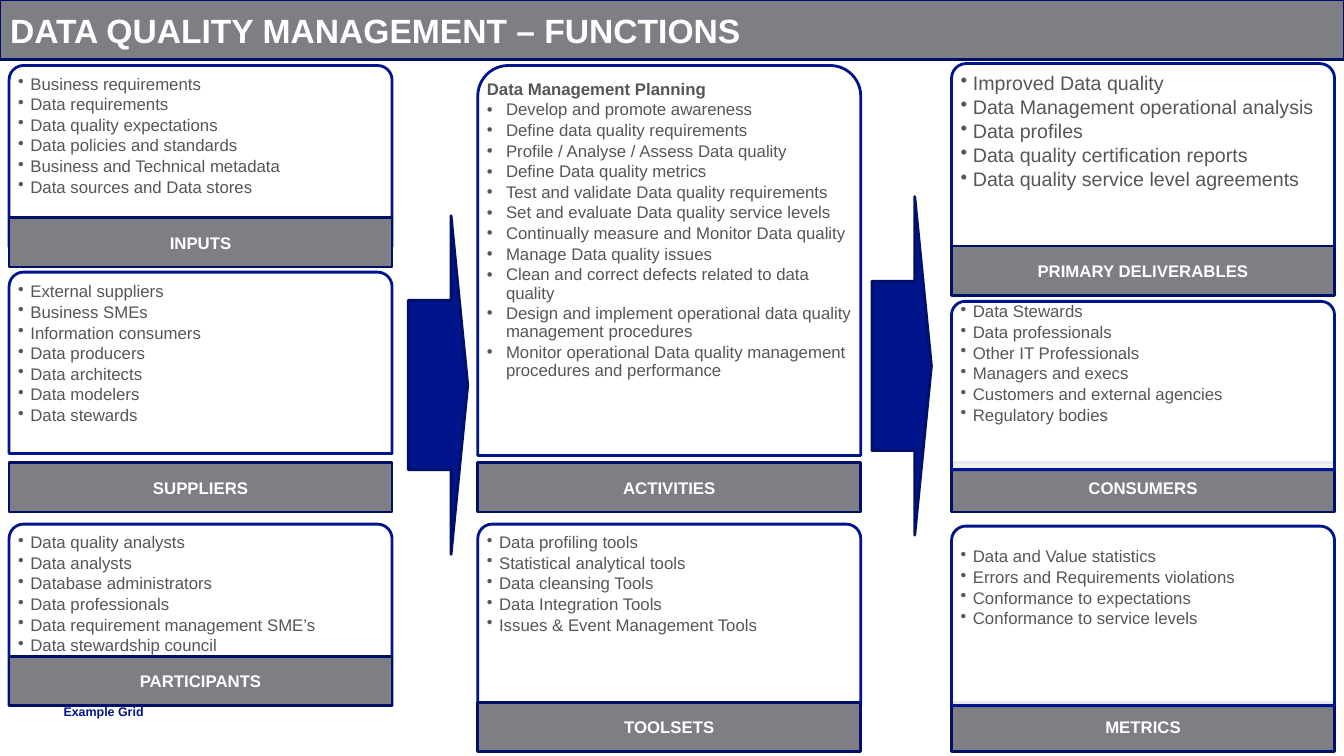
from lxml import etree
from pptx import Presentation
from pptx.dml.color import RGBColor
from pptx.enum.shapes import MSO_SHAPE
from pptx.enum.text import MSO_ANCHOR, MSO_AUTO_SIZE, PP_ALIGN
from pptx.oxml.ns import qn
from pptx.util import Pt

RECTANGLE = MSO_SHAPE.RECTANGLE
ROUND_TOP = MSO_SHAPE.ROUND_2_SAME_RECTANGLE
RIGHT_ARROW = MSO_SHAPE.RIGHT_ARROW
TOP, MIDDLE, BOTTOM = MSO_ANCHOR.TOP, MSO_ANCHOR.MIDDLE, MSO_ANCHOR.BOTTOM
LEFT, CENTER = PP_ALIGN.LEFT, PP_ALIGN.CENTER
NO_AUTOFIT = MSO_AUTO_SIZE.NONE

COLORS = {"white": "FFFFFF", "gray": "7E7E85", "text": "55555A",
          "blue": "00148C", "navy": "000F68"}
FONT = "Arial"
COLUMNS = (6.5, 341.3, 679.7)
PANEL_WIDTH, LABEL_HEIGHT = 273.6, 35.3
LIST_INSET, LIST_WIDTH = 5, 264.2

# label, column, panel top, panel height, list top, label top, text size, items
PANELS = [
    ("INPUTS", 0, 46.8, 129.6, 49.7, 155.5, 12, [
        "Business requirements", "Data requirements",
        "Data quality expectations", "Data policies and standards",
        "Business and Technical metadata", "Data sources and Data stores"]),
    ("SUPPLIERS", 0, 194.4, 129.6, 198, 330.5, 12, [
        "External suppliers", "Business SMEs", "Information consumers",
        "Data producers", "Data architects", "Data modelers",
        "Data stewards"]),
    ("PARTICIPANTS", 0, 374.4, 129.6, 377.3, 468.7, 12, [
        "Data quality analysts", "Data analysts", "Database administrators",
        "Data professionals", "Data requirement management SME’s",
        "Data stewardship council"]),
    ("ACTIVITIES", 1, 46.8, 278.6, 53.3, 330.5, 12, [
        "Develop and promote awareness", "Define data quality requirements",
        "Profile / Analyse / Assess Data quality",
        "Define Data quality metrics",
        "Test and validate Data quality requirements",
        "Set and evaluate Data quality service levels",
        "Continually measure and Monitor Data quality",
        "Manage Data quality issues",
        "Clean and correct defects related to data quality",
        "Design and implement operational data quality management procedures",
        "Monitor operational Data quality management procedures and performance"]),
    ("TOOLSETS", 1, 374.4, 129.6, 377.3, 501.8, 12, [
        "Data profiling tools", "Statistical analytical tools",
        "Data cleansing Tools", "Data Integration Tools",
        "Issues & Event Management Tools"]),
    ("PRIMARY DELIVERABLES", 2, 45.4, 131, 48.2, 175.7, 14, [
        "Improved Data quality", "Data Management operational analysis",
        "Data profiles", "Data quality certification reports",
        "Data quality service level agreements"]),
    ("CONSUMERS", 2, 215.3, 120.2, 212.4, 330.5, 12, [
        "Data Stewards", "Data professionals", "Other IT Professionals",
        "Managers and execs", "Customers and external agencies",
        "Regulatory bodies"]),
    ("METRICS", 2, 375.8, 128.2, 387.4, 501.8, 12, [
        "Data and Value statistics", "Errors and Requirements violations",
        "Conformance to expectations", "Conformance to service levels"]),
]
LABEL_BEHIND = ("CONSUMERS", "METRICS")
HEADINGS = {"ACTIVITIES": "Data Management Planning"}
ARROWS = [(291.6, 154.1), (622.8, 140.4)]


class SlideBuilder:
    def __init__(self, page):
        self.page = page

    def place(self, box, left, top, width, height):
        box.left, box.top = Pt(left), Pt(top)
        box.width, box.height = Pt(width), Pt(height)

    def paint(self, box, fill, line):
        box.fill.solid()
        box.fill.fore_color.rgb = RGBColor.from_string(COLORS[fill])
        box.line.color.rgb = RGBColor.from_string(COLORS[line])
        box.line.width = Pt(2)

    def style(self, para, size, color, bold=False, align=LEFT):
        para.alignment = align
        font = para.font
        font.name, font.size, font.bold = FONT, Pt(size), bold
        font.color.rgb = RGBColor.from_string(COLORS[color])

    def frame(self, box, anchor, insets):
        frame = box.text_frame
        frame.word_wrap, frame.auto_size = True, NO_AUTOFIT
        frame.vertical_anchor = anchor
        (frame.margin_left, frame.margin_top,
         frame.margin_right, frame.margin_bottom) = map(Pt, insets)
        return frame

    def shape(self, kind, left, top, width, height, fill, line):
        box = self.page.shapes.add_shape(
            kind, Pt(left), Pt(top), Pt(width), Pt(height))
        box.shadow.inherit = False
        self.paint(box, fill, line)
        return box

    def title(self, text):
        box = self.page.shapes.title
        self.place(box, 0, 0, 960, 42.5)
        self.paint(box, "gray", "navy")
        frame = self.frame(box, MIDDLE, (7.2, 3.6, 7.2, 3.6))
        frame.text = text
        self.style(frame.paragraphs[0], 24, "white", True)

    def label(self, text, left, top):
        box = self.shape(RECTANGLE, left, top, PANEL_WIDTH, LABEL_HEIGHT,
                         "gray", "navy")
        box.text_frame.text = text
        box.text_frame.vertical_anchor = MIDDLE
        self.style(box.text_frame.paragraphs[0], 12, "white", True, CENTER)

    def panel(self, left, top, height):
        box = self.shape(ROUND_TOP, left, top, PANEL_WIDTH, height,
                         "white", "blue")
        box.adjustments[0], box.adjustments[1] = 0.08, 0
        color = box.fill._xPr.find(qn("a:solidFill"))[0]
        etree.SubElement(color, qn("a:alpha"), val="90000")

    def arrow(self, left, top):
        box = self.shape(RIGHT_ARROW, left, top, 42.5, 241.9, "blue", "navy")
        box.adjustments[0], box.adjustments[1] = 0.5, 0.28

    def text_box(self):
        return self.page.shapes.add_textbox(0, 0, 0, 0)

    def bullets(self, box, left, top, height, size, items, heading=None):
        self.page.shapes._spTree.append(box._element)  # bring to front
        self.place(box, left + LIST_INSET, top, LIST_WIDTH, height)
        frame = self.frame(box, TOP, (1.44, 4.32, 1.44, 1.44))
        indent = Pt(13.7 if heading else 8.8)
        lines = ([heading] if heading else []) + items
        frame.text = "\n".join(lines)
        for para, text in zip(frame.paragraphs, lines):
            is_heading = text == heading
            para.line_spacing = 0.9
            para.space_before, para.space_after = Pt(0), Pt(0.15 * size)
            props = para._p.get_or_add_pPr()
            props.set("marL", str(0 if is_heading else indent))
            props.set("indent", str(0 if is_heading else -indent))
            if is_heading:
                etree.SubElement(props, qn("a:buNone"))
            else:
                etree.SubElement(props, qn("a:buChar"), char="•")
            self.style(para, size, "text", is_heading)

    def footer(self, text):
        box = self.text_box()
        self.place(box, 45.4, 502.6, 95.8, 10.8)
        frame = self.frame(box, BOTTOM, (0, 0, 0, 0))
        frame.text = text
        self.style(frame.paragraphs[0], 8.9, "blue", True)


def main():
    deck = Presentation()
    deck.slide_width, deck.slide_height = Pt(960), Pt(540)
    page = deck.slides.add_slide(deck.slide_layouts[1])
    builder = SlideBuilder(page)

    # Title bar and footer
    builder.title("DATA QUALITY MANAGEMENT – FUNCTIONS")
    builder.footer("Example Grid")

    # Panels with their lists and labels
    for name, column, top, height, list_top, label_top, size, items in PANELS:
        left = COLUMNS[column]
        heading = HEADINGS.get(name)
        if name in LABEL_BEHIND:
            builder.label(name, left, label_top)
        builder.panel(left, top, height)
        box = page.placeholders[1] if heading else builder.text_box()
        builder.bullets(box, left, list_top, top + height - list_top,
                        size, items, heading)
        if name not in LABEL_BEHIND:
            builder.label(name, left, label_top)

    # Flow arrows
    for left, top in ARROWS:
        builder.arrow(left, top)

    deck.save("out.pptx")


if __name__ == "__main__":
    main()
